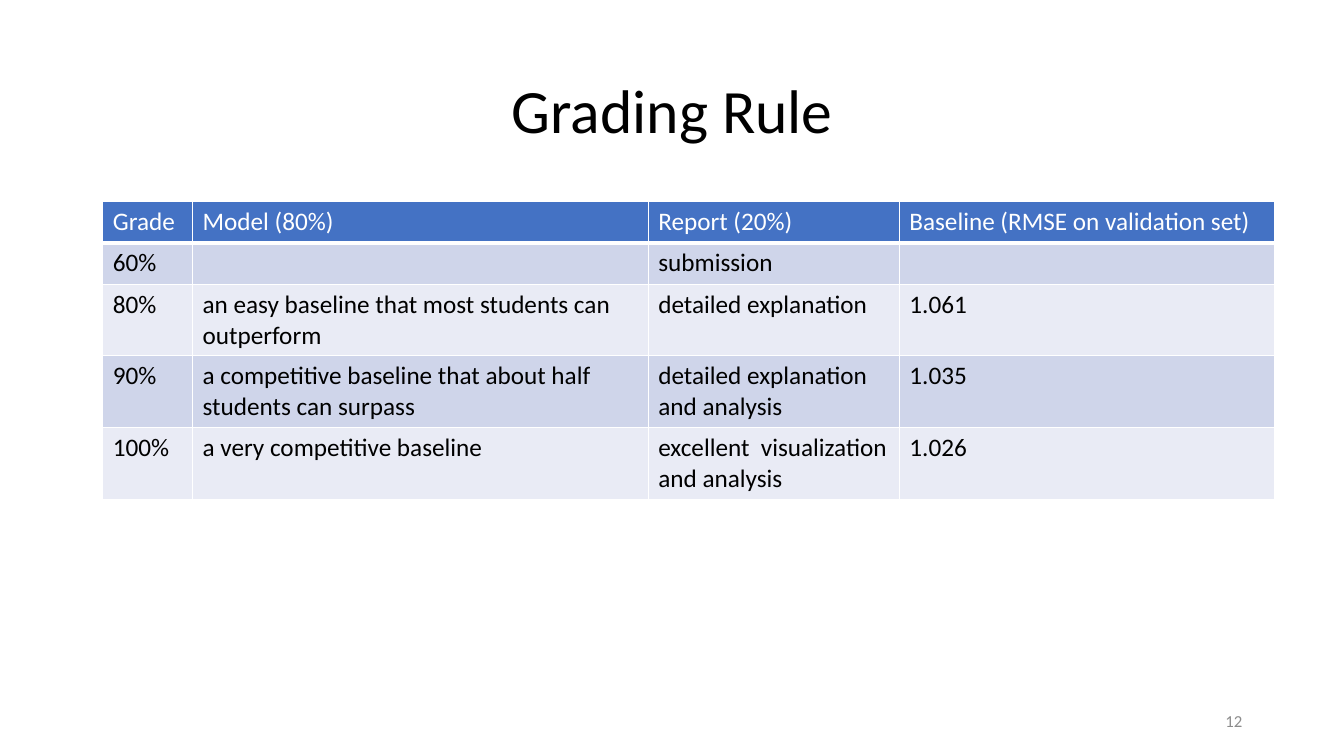
from dataclasses import dataclass

from lxml import etree
from pptx import Presentation
from pptx import util as u
from pptx.dml.color import RGBColor
from pptx.enum import text
from pptx.oxml import ns


@dataclass(frozen=True)
class Theme:
    font: str = "Calibri"
    title_size: int = 44
    table_size: int = 18
    number_size: int = 12
    ink: str = "000000"
    white: str = "FFFFFF"
    muted: str = "8C8C8C"
    header: str = "4472C4"
    bands: tuple = ("CFD5EA", "E9EBF5")
    rule: int = 1
    header_rule: int = 3


THEME = Theme()

GRADING = [
    ("Grade", "Model (80%)", "Report (20%)", "Baseline (RMSE on validation set)"),
    ("60%", "", "submission", ""),
    ("80%", "an easy baseline that most students can outperform",
     "detailed explanation", "1.061"),
    ("90%", "a competitive baseline that about half students can surpass",
     "detailed explanation and analysis", "1.035"),
    ("100%", "a very competitive baseline",
     "excellent  visualization and analysis", "1.026"),
]
COLUMN_WIDTHS = (0.89, 4.52, 2.49, 3.72)
ROW_HEIGHTS = (0.41, 0.41, 0.71, 0.71, 0.71)


def write(frame, wording, size=THEME.table_size, color=THEME.ink,
          align=text.PP_ALIGN.LEFT, spacing=None):
    """Put one formatted paragraph into a text frame."""
    paragraph = frame.paragraphs[0]
    paragraph.alignment = align
    paragraph.line_spacing = spacing
    paragraph.font.size = u.Pt(size)
    if not wording:
        return
    run = paragraph.add_run()
    run.text = wording
    run.font.name = THEME.font
    run.font.size = u.Pt(size)
    run.font.bold = False
    run.font.color.rgb = RGBColor.from_string(color)


def add_label(slide, wording, left, top, width, height, **style):
    """Add a vertically centred text box."""
    label = slide.shapes.add_textbox(*map(u.Inches, (left, top, width, height)))
    label.text_frame.word_wrap = True
    label.text_frame.vertical_anchor = text.MSO_ANCHOR.MIDDLE
    write(label.text_frame, wording, **style)


def add_borders(cell, bottom):
    """Draw white rules on all sides of a cell."""
    properties = cell._tc.get_or_add_tcPr()
    widths = {"L": THEME.rule, "R": THEME.rule, "T": THEME.rule, "B": bottom}
    for side, width in widths.items():
        line = etree.SubElement(properties, ns.qn(f"a:ln{side}"), w=str(u.Pt(width)))
        fill = etree.SubElement(line, ns.qn("a:solidFill"))
        etree.SubElement(fill, ns.qn("a:srgbClr"), val=THEME.white)


def add_grading_table(slide, left, top):
    """Add the header row and the banded grade rows."""
    table = slide.shapes.add_table(
        len(GRADING), len(COLUMN_WIDTHS), u.Inches(left), u.Inches(top),
        u.Inches(sum(COLUMN_WIDTHS)), u.Inches(sum(ROW_HEIGHTS))).table
    for column, width in zip(table.columns, COLUMN_WIDTHS):
        column.width = u.Inches(width)
    for index, (row, height, entries) in enumerate(
            zip(table.rows, ROW_HEIGHTS, GRADING)):
        row.height = u.Inches(height)
        is_header = index == 0
        background = THEME.header if is_header else THEME.bands[(index - 1) % 2]
        for cell, entry in zip(row.cells, entries):
            write(cell.text_frame, entry,
                  color=THEME.white if is_header else THEME.ink)
            add_borders(cell, THEME.header_rule if is_header else THEME.rule)
            cell.fill.solid()
            cell.fill.fore_color.rgb = RGBColor.from_string(background)


def main():
    deck = Presentation()
    deck.slide_width, deck.slide_height = u.Inches(13.33), u.Inches(7.5)
    slide = deck.slides.add_slide(deck.slide_layouts[6])

    # Grading table
    add_grading_table(slide, 1.02, 2)

    # Title
    add_label(slide, "Grading Rule", 0.92, 0.4, 11.5, 1.45,
              size=THEME.title_size, align=text.PP_ALIGN.CENTER, spacing=0.9)

    # Slide number
    add_label(slide, "12", 9.42, 6.95, 3, 0.4, size=THEME.number_size,
              color=THEME.muted, align=text.PP_ALIGN.RIGHT)

    deck.save("out.pptx")


if __name__ == "__main__":
    main()
